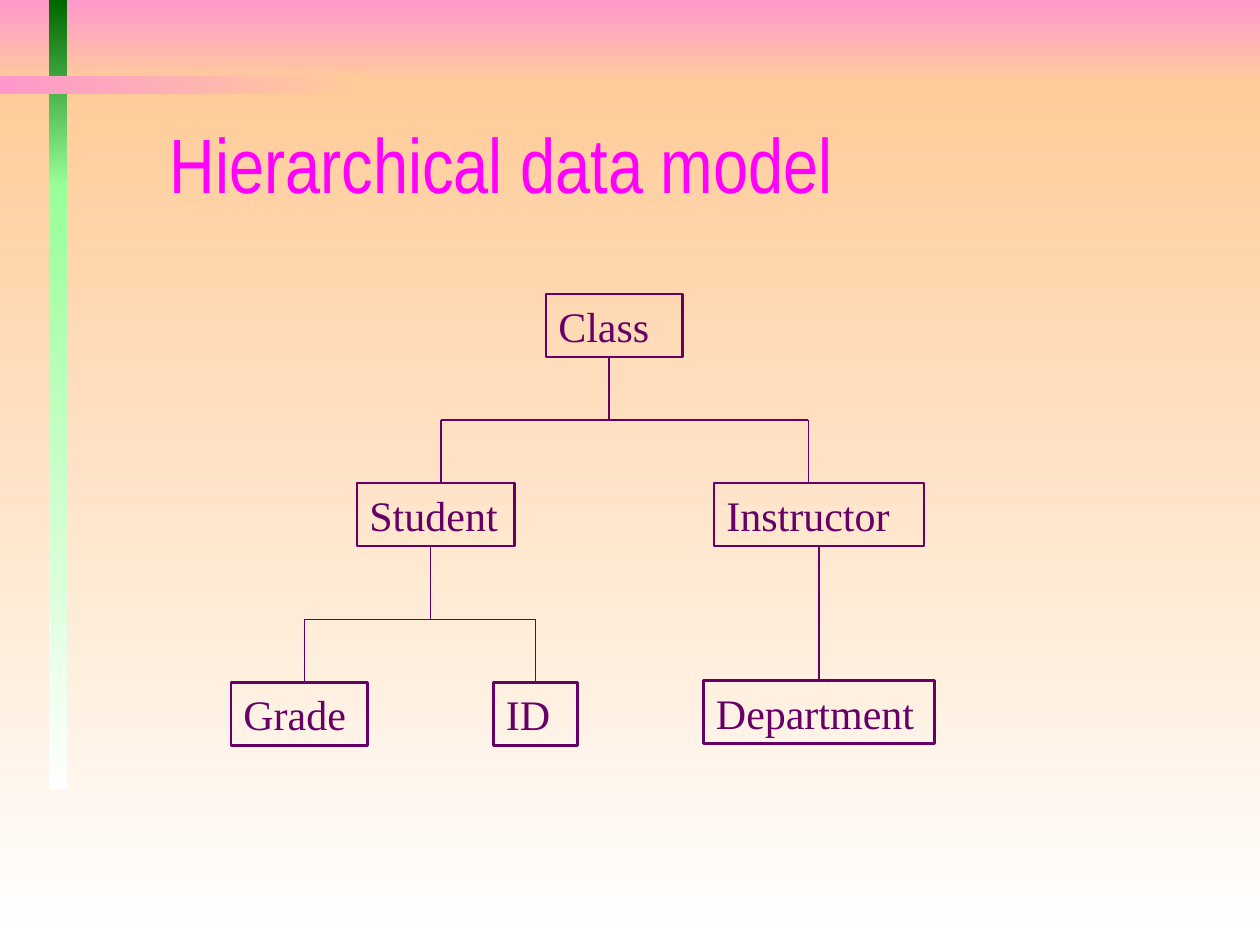
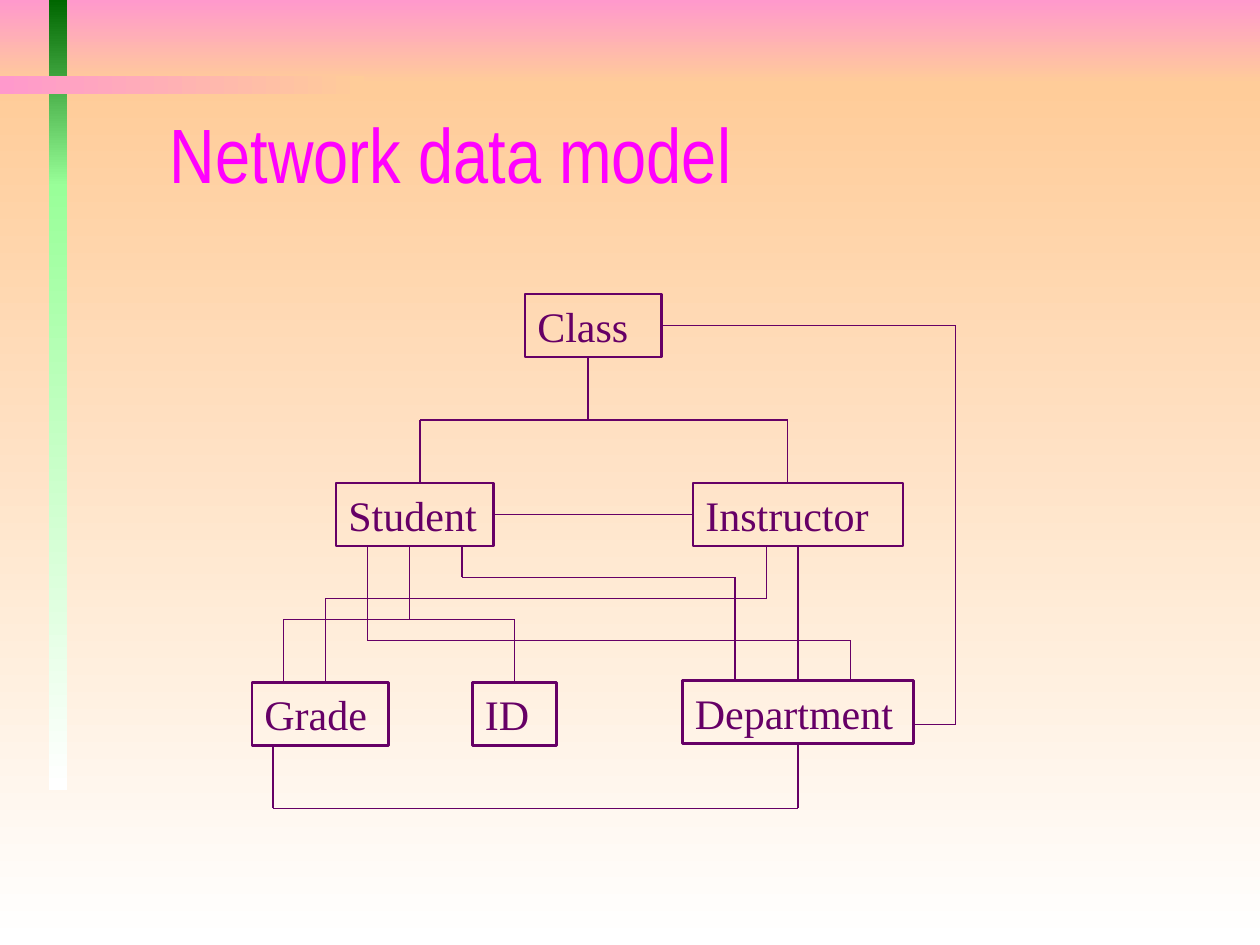
from itertools import pairwise

from lxml import etree
from pptx import Presentation
from pptx.dml.color import RGBColor
from pptx.enum.shapes import MSO_CONNECTOR as Connector
from pptx.enum.shapes import MSO_SHAPE as Shape
from pptx.enum.text import MSO_ANCHOR as Anchor
from pptx.enum.text import PP_ALIGN as Align
from pptx.oxml.ns import qn
from pptx.util import Pt

COLORS = {
    "pink": "FF99CC",
    "peach": "FFCC99",
    "white": "FFFFFF",
    "dark green": "006600",
    "light green": "99FF99",
    "title": "FF00FF",
    "ink": "660066",
}
TITLE_FONT = "Arial Narrow"
BODY_FONT = "Times New Roman"

DOWN, RIGHT = 270, 0  # gradient directions, counter-clockwise degrees

# Left, top, width, height, first colour, last colour, direction
BANDS = [
    (0, 0, 720, 48, "pink", "peach", DOWN),
    (0, 48, 720, 492, "peach", "white", DOWN),
    (28, 0, 10.25, 106.5, "dark green", "light green", DOWN),
    (28, 105, 10.25, 346.5, "light green", "white", DOWN),
    (0, 43.5, 208, 10, "pink", "peach", RIGHT),
]

# Entity: left, top, width
ENTITIES = {
    "Class": (312, 168, 78),
    "Student": (204, 276, 90),
    "Grade": (132, 390, 78),
    "Instructor": (408, 276, 120),
    "ID": (282, 390, 48),
    "Department": (402, 389, 132),
}
ENTITY_HEIGHT = 36
NETWORK_SHIFT = -12  # the network tree stands further left
GRADE_NUDGE = 24  # its Grade box stands further right

# Links that turn the tree into a network
NETWORK_LINKS = [
    [(282, 294), (396, 294)],
    [(156, 426), (156, 462), (456, 462), (456, 426)],
    [(264, 312), (264, 330), (420, 330), (420, 390)],
    [(438, 312), (438, 342), (186, 342), (186, 390)],
    [(378, 186), (546, 186), (546, 414), (522, 414)],
    [(210, 312), (210, 366), (486, 366), (486, 390)],
]


def color(name):
    return RGBColor.from_string(COLORS[name])


def add_band(page, left, top, width, height, first, last, angle):
    band = page.shapes.add_shape(
        Shape.RECTANGLE, Pt(left), Pt(top), Pt(width), Pt(height))
    band.shadow.inherit = False
    band.line.fill.background()
    band.fill.gradient()
    band.fill.gradient_angle = angle
    for stop, name in zip(band.fill.gradient_stops, (first, last)):
        stop.color.rgb = color(name)


def write(box, text, font, size, name, anchor):
    frame = box.text_frame
    frame.word_wrap = True
    frame.vertical_anchor = anchor
    para = frame.paragraphs[0]
    para.text = text
    para.alignment = Align.LEFT
    para.font.name = font
    para.font.size = Pt(size)
    para.font.color.rgb = color(name)


def add_page(deck, title, title_top):
    """Add a page with its bands and title."""
    page = deck.slides.add_slide(deck.slide_layouts[6])
    for band in BANDS:
        add_band(page, *band)
    box = page.shapes.add_textbox(Pt(90), Pt(title_top), Pt(612), Pt(90))
    write(box, title, TITLE_FONT, 44, "title", Anchor.MIDDLE)
    return page


def add_entity(page, name, left, top, width):
    box = page.shapes.add_shape(
        Shape.RECTANGLE, Pt(left), Pt(top), Pt(width), Pt(ENTITY_HEIGHT))
    box.shadow.inherit = False
    box.fill.background()
    box.line.color.rgb = color("ink")
    box.line.width = Pt(1.5)
    write(box, name, BODY_FONT, 24, "ink", Anchor.BOTTOM)


def add_link(page, *points):
    """Join the points, in turn, by straight lines."""
    for (x1, y1), (x2, y2) in pairwise(points):
        line = page.shapes.add_connector(
            Connector.STRAIGHT, Pt(x1), Pt(y1), Pt(x2), Pt(y2))
        line.line.color.rgb = color("ink")
        line.line.width = Pt(0.75)
        etree.SubElement(line._element.spPr, qn("a:effectLst"))


def add_fork(page, stem, top, bar, left, right, bottom):
    """Link one parent to two children below it."""
    add_link(page, (stem, top), (stem, bar))
    add_link(page, (left, bottom), (left, bar), (right, bar), (right, bottom))


def add_tree(page, shift=0, grade_nudge=0):
    for name, (left, top, width) in ENTITIES.items():
        nudge = grade_nudge if name == "Grade" else 0
        add_entity(page, name, left + shift + nudge, top, width)
    add_fork(page, 348 + shift, 204, 240, 252 + shift, 462 + shift, 276)
    add_fork(page, 246 + shift, 312, 354, 174 + shift, 306 + shift, 390)
    add_link(page, (468 + shift, 312), (468 + shift, 390))


def main():
    deck = Presentation()
    deck.slide_width, deck.slide_height = Pt(720), Pt(540)

    # Hierarchical model
    page = add_page(deck, "Hierarchical data model", 48)
    add_tree(page)

    # Network model
    page = add_page(deck, "Network data model", 42)
    add_tree(page, NETWORK_SHIFT, GRADE_NUDGE)
    for points in NETWORK_LINKS:
        add_link(page, *points)

    deck.save("out.pptx")


if __name__ == "__main__":
    main()
